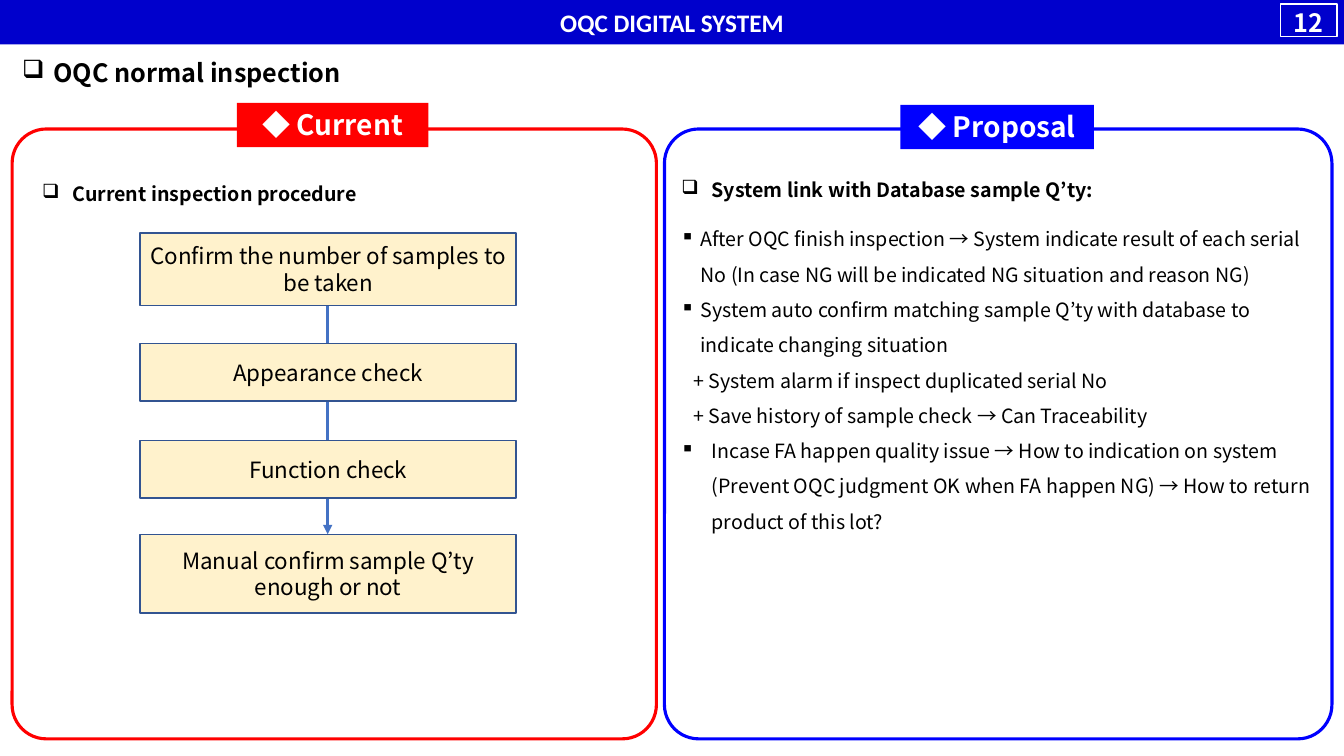
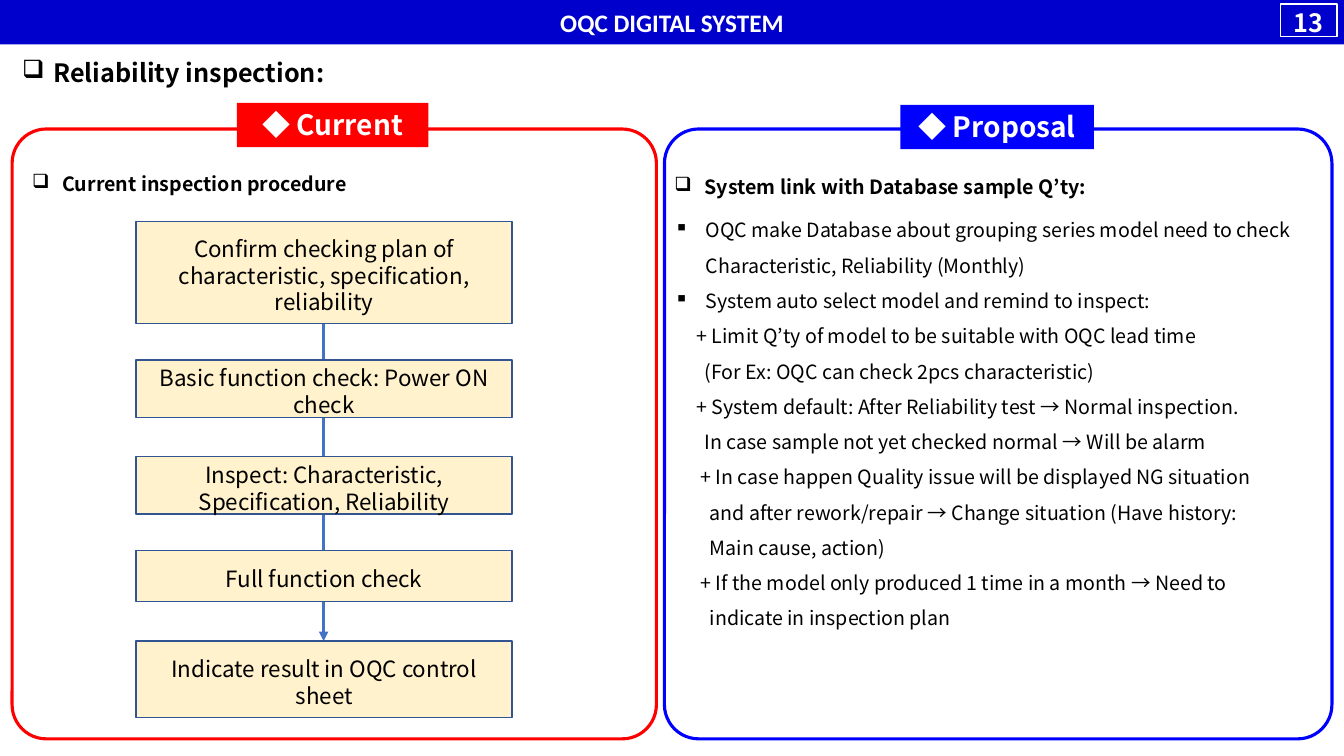
from dataclasses import dataclass
from typing import Any, NamedTuple

from lxml.etree import SubElement
from pptx import Presentation
from pptx.dml.color import RGBColor
from pptx.enum.shapes import MSO_CONNECTOR, MSO_SHAPE
from pptx.enum.text import MSO_ANCHOR, PP_ALIGN
from pptx.oxml.ns import qn
from pptx.util import Emu, Pt

EMU_PER_PX = 9144
SANS = "Noto Sans CJK JP"
COLORS = {
    "white": "FFFFFF",
    "black": "000000",
    "band": "0000CC",
    "current": "FF0000",
    "proposal": "0000FF",
    "step": "FFF2CC",
    "step_line": "325491",
    "arrow": "4472C4",
}


class Area(NamedTuple):
    """A rectangle in px."""

    left: int
    top: int
    width: int
    height: int


@dataclass(frozen=True)
class Style:
    """Format of a piece of text."""

    size: int
    color: str = "black"
    bold: bool = False
    name: str = SANS
    alignment: PP_ALIGN = PP_ALIGN.LEFT
    line_spacing: float = 1.0


@dataclass(frozen=True)
class Line:
    """A paragraph with its indent in px and an optional bullet."""

    text: str
    indent: int = 0
    bullet: str = ""


@dataclass(frozen=True)
class Panel:
    """A rounded frame with a label on its top edge."""

    label: str
    color: str
    frame: Area
    tag: Area


@dataclass(frozen=True)
class Step:
    """A box of the procedure."""

    text: str
    top: int
    height: int


@dataclass(frozen=True)
class Page:
    """The content of one slide."""

    number: int
    title: str
    current_at: tuple[int, int]
    proposal_at: tuple[int, int]
    body: Area
    lines: list[Line]
    flow_left: int
    flow_bottom_inset: int
    steps: list[Step]


CENTER = PP_ALIGN.CENTER
TITLE = Style(18, bold=True)
BAND = Style(18, "white", True, "Calibri", CENTER)
NUMBER = Style(18, "white", True, alignment=CENTER)
TAG = Style(20, "white", True, alignment=CENTER)
SUBTITLE = Style(14, bold=True)
BODY = Style(14, line_spacing=1.5)
STEP = Style(16, alignment=CENTER)
STEP_WIDTH = 373
PANELS = [
    Panel("◆ Proposal", "proposal", Area(659, 128, 662, 605), Area(893, 104, 192, 44)),
    Panel("◆ Current", "current", Area(12, 128, 639, 605), Area(235, 102, 190, 44)),
]
PAGES = [
    Page(
        12,
        "OQC normal inspection",
        (32, 176),
        (666, 172),
        Area(665, 209, 653, 361),
        [
            Line("After OQC finish inspection → System indicate result of each serial No "
                 "(In case NG will be indicated NG situation and reason NG)", 20, "▪"),
            Line("System auto confirm matching sample Q’ty with database to "
                 "indicate changing situation", 20, "▪"),
            Line("+ System alarm if inspect duplicated serial No", 13),
            Line("+ Save history of sample check → Can Traceability", 13),
            Line("Incase FA happen quality issue → How to indication on system "
                 "(Prevent OQC judgment OK when FA happen NG) → "
                 "How to return product of this lot?", 31, "▪"),
        ],
        139,
        5,
        [
            Step("Confirm the number of samples to be taken", 231, 72),
            Step("Appearance check", 341, 57),
            Step("Function check", 437, 57),
            Step("Manual confirm sample Q’ty enough or not", 530, 78),
        ],
    ),
    Page(
        13,
        "Reliability inspection:",
        (22, 166),
        (659, 169),
        Area(659, 200, 662, 431),
        [
            Line("OQC make Database about grouping series model need to check "
                 "Characteristic, Reliability (Monthly)", 31, "▪"),
            Line("System auto select model and remind to inspect:", 31, "▪"),
            Line("+ Limit Q’ty of model to be suitable with OQC lead time", 22),
            Line("(For Ex: OQC can check 2pcs characteristic)", 30),
            Line("+ System default: After Reliability test → Normal inspection.", 22),
            Line("In case sample not yet checked normal → Will be alarm", 30),
            Line("+ In case happen Quality issue will be displayed NG situation", 26),
            Line("and after rework/repair → Change situation (Have history:", 35),
            Line("Main cause, action)", 35),
            Line("+ If the model only produced 1 time in a month → Need to", 26),
            Line("indicate in inspection plan", 35),
        ],
        135,
        0,
        [
            Step("Confirm checking plan of characteristic, specification, reliability", 220, 101),
            Step("Basic function check: Power ON check", 357, 57),
            Step("Inspect: Characteristic, Specification, Reliability", 453, 57),
            Step("Full function check", 546, 51),
            Step("Indicate result in OQC control sheet", 636, 76),
        ],
    ),
]


def px(length: int) -> Emu:
    """Turn px into EMU."""
    return Emu(length * EMU_PER_PX)


def rgb(color: str) -> RGBColor:
    """Look up a named colour."""
    return RGBColor.from_string(COLORS[color])


def apply(target: Any, values: dict[str, Any]) -> None:
    """Set attributes from format values."""
    for name, value in values.items():
        setattr(target, name, value)


def write(box: Any, lines: list[Line], style: Style,
          anchor: MSO_ANCHOR = MSO_ANCHOR.TOP, bottom: int = 5) -> None:
    """Fill a box with styled paragraphs."""
    frame = box.text_frame
    apply(frame, {
        "word_wrap": True, "vertical_anchor": anchor,
        "margin_left": px(10), "margin_right": px(10),
        "margin_top": px(5), "margin_bottom": px(bottom),
    })
    for index, line in enumerate(lines):
        para = frame.add_paragraph() if index else frame.paragraphs[0]
        apply(para, {"alignment": style.alignment, "line_spacing": style.line_spacing})
        properties = para._p.get_or_add_pPr()
        if line.indent:
            properties.set("marL", str(px(line.indent)))
        if line.bullet:
            properties.set("indent", str(-px(line.indent)))
            SubElement(properties, qn("a:buChar"), char=line.bullet)
        span = para.add_run()
        span.text = line.text
        apply(span.font, {"size": Pt(style.size), "bold": style.bold, "name": style.name})
        span.font.color.rgb = rgb(style.color)
        SubElement(span._r.get_or_add_rPr(), qn("a:ea"), typeface=style.name)


def add_box(page: Any, area: Area, fill: str = "", line: str = "", weight: float = 1,
            kind: MSO_SHAPE = MSO_SHAPE.RECTANGLE) -> Any:
    """Draw a preset shape with optional fill and outline."""
    box = page.shapes.add_shape(kind, *map(px, area))
    box.shadow.inherit = False
    if fill:
        box.fill.solid()
        box.fill.fore_color.rgb = rgb(fill)
    else:
        box.fill.background()
    if line:
        box.line.color.rgb = rgb(line)
        box.line.width = Pt(weight)
    else:
        box.line.fill.background()
    return box


def add_text(page: Any, area: Area, lines: list[Line], style: Style) -> None:
    """Place a text box."""
    write(page.shapes.add_textbox(*map(px, area)), lines, style)


def add_panels(page: Any) -> None:
    """Draw both frames and their labels."""
    for panel in PANELS:
        frame = add_box(page, panel.frame, line=panel.color, weight=2.25,
                        kind=MSO_SHAPE.ROUNDED_RECTANGLE)
        frame.adjustments[0] = 0.056
    for panel in PANELS:
        write(add_box(page, panel.tag, panel.color), [Line(panel.label)], TAG)


def add_flow(page: Any, content: Page) -> None:
    """Draw the arrow and the procedure boxes over it."""
    first, last = content.steps[0], content.steps[-1]
    middle = px(content.flow_left + STEP_WIDTH // 2)
    arrow = page.shapes.add_connector(MSO_CONNECTOR.STRAIGHT, middle,
                                      px(first.top + first.height), middle, px(last.top))
    arrow.line.color.rgb = rgb("arrow")
    arrow.line.width = Pt(2.25)
    SubElement(arrow.line._get_or_add_ln(), qn("a:tailEnd"), type="triangle")
    SubElement(arrow._element.spPr, qn("a:effectLst"))
    for step in content.steps:
        area = Area(content.flow_left, step.top, STEP_WIDTH, step.height)
        box = add_box(page, area, "step", "step_line")
        write(box, [Line(step.text)], STEP, MSO_ANCHOR.MIDDLE, content.flow_bottom_inset)


def add_header(page: Any, number: int) -> None:
    """Draw the top band and the page number."""
    band = add_box(page, Area(0, 0, 1333, 44), "band")
    write(band, [Line("OQC DIGITAL SYSTEM")], BAND, MSO_ANCHOR.MIDDLE)
    tag = add_box(page, Area(1270, 4, 56, 32), line="white")
    write(tag, [Line(str(number))], NUMBER, MSO_ANCHOR.MIDDLE, 0)


def add_page(deck: Any, content: Page) -> None:
    """Build one slide."""
    page = deck.slides.add_slide(deck.slide_layouts[5])
    title = page.shapes.title
    apply(title, dict(zip(("left", "top", "width", "height"), map(px, (12, 52, 1309, 40)))))
    write(title, [Line(content.title, 31, "❑")], TITLE)
    add_panels(page)
    add_text(page, content.body, content.lines, BODY)
    for text, place in (
        ("System link with Database sample Q’ty:", content.proposal_at),
        ("Current inspection procedure", content.current_at),
    ):
        add_text(page, Area(*place, 619, 34), [Line(text, 30, "❑")], SUBTITLE)
    add_flow(page, content)
    add_header(page, content.number)


def main() -> None:
    """Build and save the deck."""
    deck = Presentation()
    apply(deck, {"slide_width": px(1333), "slide_height": px(750)})
    for content in PAGES:
        add_page(deck, content)
    deck.save("out.pptx")


if __name__ == "__main__":
    main()
